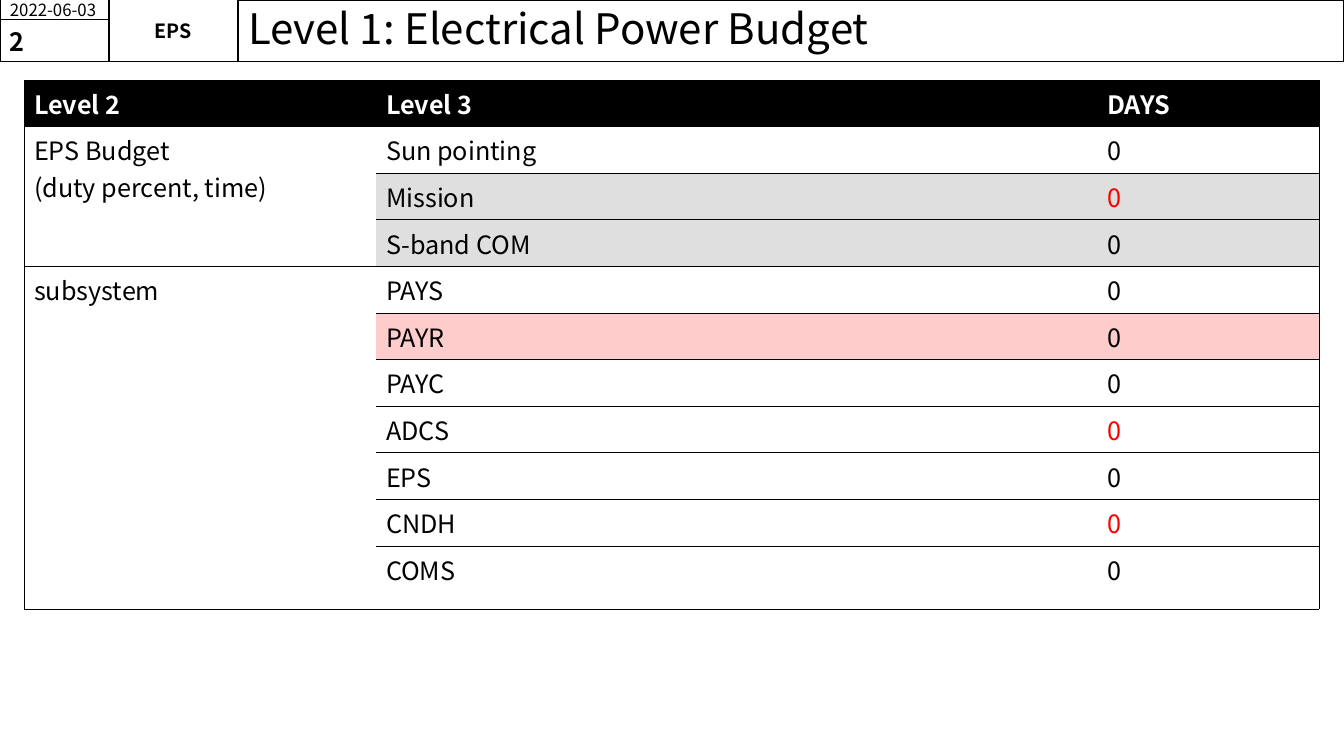
from pptx import Presentation
from pptx.dml.color import RGBColor
from pptx.enum.shapes import MSO_SHAPE
from pptx.enum.text import MSO_ANCHOR, MSO_AUTO_SIZE, PP_ALIGN
from pptx.oxml.ns import qn
from pptx.util import Pt
from lxml import etree

RECT = MSO_SHAPE.RECTANGLE
MIDDLE = MSO_ANCHOR.MIDDLE
NO_FIT = MSO_AUTO_SIZE.NONE
LEFT, CENTER = PP_ALIGN.LEFT, PP_ALIGN.CENTER
BLACK = RGBColor(0, 0, 0)
WHITE = RGBColor(255, 255, 255)
RED = RGBColor(255, 0, 0)
GREY = RGBColor(0xDF, 0xDF, 0xDF)
PINK = RGBColor(255, 0xCC, 0xCC)
FONT = "Noto Sans CJK KR"
SCALE = 914400 / 100.8
COLS = (352, 721, 222)
ROW, LAST = 46, 63
HEAD = ("Level 2", "Level 3", "DAYS")
GROUPS = {1: (3, ("EPS Budget", "(duty percent, time)")), 4: (9, ("subsystem",))}
ITEMS = (
    ("Sun pointing", WHITE, BLACK),
    ("Mission", GREY, RED),
    ("S-band COM", GREY, BLACK),
    ("PAYS", WHITE, BLACK),
    ("PAYR", PINK, BLACK),
    ("PAYC", WHITE, BLACK),
    ("ADCS", WHITE, RED),
    ("EPS", WHITE, BLACK),
    ("CNDH", WHITE, RED),
    ("COMS", WHITE, BLACK),
)


def px(count):
    """Turn whole pixels into EMU."""
    return round(count * SCALE)


def write(frame, lines, size, color=BLACK, bold=False, align=LEFT):
    """Write each line as a paragraph of one run."""
    for i, line in enumerate(lines):
        para = frame.add_paragraph() if i else frame.paragraphs[0]
        para.alignment = align
        run = para.add_run()
        run.text = line
        font = run.font
        font.name, font.size, font.bold = FONT, Pt(size), bold
        font.color.rgb = color


def outline(shape):
    """Give a shape a thin black line and no fill."""
    shape.fill.background()
    shape.line.color.rgb = BLACK
    shape.line.width = Pt(0.75)


def add_box(slide, box, text, size, bold=False, align=LEFT):
    """Add one outlined box of the header."""
    shape = slide.shapes.add_shape(RECT, *map(px, box))
    shape.shadow.inherit = False
    outline(shape)
    frame = shape.text_frame
    frame.word_wrap = True
    frame.vertical_anchor = MIDDLE
    write(frame, [text], size, BLACK, bold, align)
    return frame


def add_header(slide, box):
    """Place title, date, team and page number across the box."""
    x, y, w, h = box
    side, team, top = 109, 129, 20
    title = slide.shapes.title
    start = side + team
    title.left, title.top = px(x + start), px(y)
    title.width, title.height = px(w - start), px(h)
    outline(title)
    frame = title.text_frame
    frame.auto_size = NO_FIT
    frame.vertical_anchor = MIDDLE
    write(frame, ["Level 1: Electrical Power Budget"], 30)
    frame.paragraphs[0].line_spacing = 0.9
    add_box(slide, (x, y, side, top), "2022-06-03", 12)
    name = add_box(slide, (x + side, y, team, h), "EPS", 14, True, CENTER)
    name.margin_left = name.margin_right = 0
    name.margin_top = name.margin_bottom = 0
    add_box(slide, (x, y + top, side, h - top), "2", 18, True)


def set_edges(cell, edges):
    """Draw the named edges of a cell and clear the others."""
    props = cell._tc.get_or_add_tcPr()
    for edge in "LRTB":
        line = etree.SubElement(props, qn(f"a:ln{edge}"), w=str(Pt(0.5)))
        if edge in edges:
            fill = etree.SubElement(line, qn("a:solidFill"))
            etree.SubElement(fill, qn("a:srgbClr"), val=str(BLACK))
        else:
            etree.SubElement(line, qn("a:noFill"))


def find_edges(row, col):
    """Return the edges that a cell shows."""
    if col:
        return "TBR" if col == len(COLS) - 1 else "TB"
    top = "T" if row == 0 or row in GROUPS else ""
    ends = {0, len(ITEMS), *GROUPS, *(end for end, _ in GROUPS.values())}
    ends.discard(4)
    ends.discard(9)
    return "L" + top + ("B" if row in ends else "")


def add_budget(slide, box):
    """Place the budget table in the box."""
    count = len(ITEMS) + 1
    table = slide.shapes.add_table(count, len(COLS), *map(px, box)).table
    table.horz_banding = False
    for column, width in zip(table.columns, COLS):
        column.width = px(width)
    for r, row in enumerate(table.rows):
        row.height = px(LAST if r == count - 1 else ROW)
        for c, cell in enumerate(row.cells):
            set_edges(cell, find_edges(r, c))
            cell.fill.solid()
            tint = ITEMS[r - 1][1] if c else WHITE
            cell.fill.fore_color.rgb = tint if r else BLACK
    for c, text in enumerate(HEAD):
        write(table.cell(0, c).text_frame, [text], 18, WHITE, True)
    for start, (end, lines) in GROUPS.items():
        table.cell(start, 0).merge(table.cell(end, 0))
        write(table.cell(start, 0).text_frame, lines, 18)
    for r, (name, _, color) in enumerate(ITEMS, 1):
        write(table.cell(r, 1).text_frame, [name], 18)
        write(table.cell(r, 2).text_frame, ["0"], 18, color)


def main():
    """Build and save the slide."""
    deck = Presentation()
    deck.slide_width, deck.slide_height = px(1344), px(756)
    slide = deck.slides.add_slide(deck.slide_layouts[5])
    add_header(slide, (0, 0, 1344, 62))
    add_budget(slide, (24, 80, sum(COLS), ROW * len(ITEMS) + LAST))
    deck.save("out.pptx")


if __name__ == "__main__":
    main()
